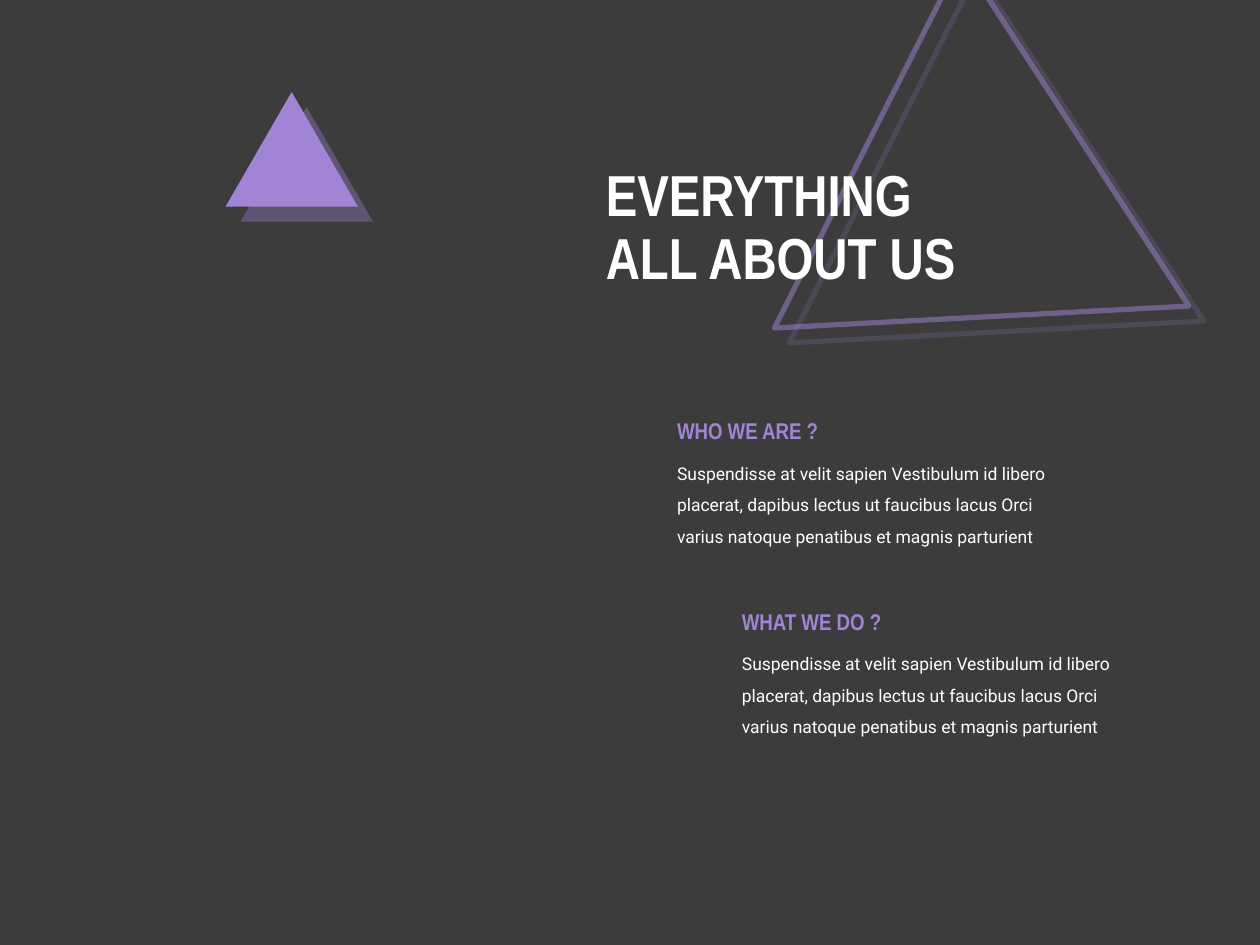
from dataclasses import dataclass

from lxml.etree import SubElement
from pptx import Presentation
from pptx.dml.color import RGBColor
from pptx.enum.shapes import MSO_SHAPE
from pptx.enum.text import MSO_ANCHOR, MSO_AUTO_SIZE
from pptx.oxml.ns import qn
from pptx.util import Inches, Pt

SLIDE_W, SLIDE_H = 10, 7.5
COLORS = {"background": "3C3C3C", "accent": "A284D7", "text": "FFFFFF"}
HEADING_FONT, BODY_FONT = "Arial Narrow", "Roboto"
BODY = ("Suspendisse at velit sapien Vestibulum id libero placerat, dapibus lectus "
        "ut faucibus lacus Orci varius natoque penatibus et magnis parturient")


@dataclass
class Box:
    """Position and size as shares of the slide."""
    left: float
    top: float
    width: float
    height: float

    def emu(self) -> tuple:
        return (Inches(self.left * SLIDE_W), Inches(self.top * SLIDE_H),
                Inches(self.width * SLIDE_W), Inches(self.height * SLIDE_H))


@dataclass
class Section:
    heading: str
    left: float
    top: float


SECTIONS = [Section("WHO WE ARE ?", 5.275, 3.26),
            Section("WHAT WE DO ?", 5.79, 4.77)]


def rgb(name: str) -> RGBColor:
    return RGBColor.from_string(COLORS[name])


def add_alpha(color, percent: int) -> None:
    SubElement(color, qn("a:alpha"), val=str(percent * 1000))


def add_shadow(sp) -> None:
    """Hard accent shadow, down and to the right."""
    sp.shadow.inherit = False
    effects = sp._element.spPr.find(qn("a:effectLst"))
    shadow = SubElement(effects, qn("a:outerShdw"), blurRad="0", dist=str(Pt(12.1)),
                        dir=str(45 * 60000), algn="ctr", rotWithShape="0")
    add_alpha(SubElement(shadow, qn("a:srgbClr"), val=COLORS["accent"]), 35)


def add_triangle(s, box: Box, rotation: float = 0, outlined: bool = False) -> None:
    sp = s.shapes.add_shape(MSO_SHAPE.ISOSCELES_TRIANGLE, *box.emu())
    sp.rotation = rotation
    if outlined:
        sp.fill.background()
        sp.line.width = Pt(3)
        sp.line.color.rgb = rgb("accent")
        add_alpha(sp.line._ln.find(".//" + qn("a:srgbClr")), 50)
    else:
        sp.fill.solid()
        sp.fill.fore_color.rgb = rgb("accent")
        sp.line.fill.background()
    add_shadow(sp)


def add_text(s, text: str, box: Box, *, size: float, font: str, color: str,
             bold: bool = False, spacing: float = 1.0, anchor=MSO_ANCHOR.TOP,
             autosize=MSO_AUTO_SIZE.SHAPE_TO_FIT_TEXT) -> None:
    tf = s.shapes.add_textbox(*box.emu()).text_frame
    tf.word_wrap = True
    tf.auto_size = autosize
    tf.vertical_anchor = anchor
    p = tf.paragraphs[0]
    p.line_spacing = spacing
    for i, line in enumerate(text.split("\n")):
        if i:
            p.add_line_break()
        r = p.add_run()
        r.text = line
        r.font.size = Pt(size)
        r.font.name = font
        r.font.bold = bold
        r.font.color.rgb = rgb(color)


def add_section(s, section: Section) -> None:
    left, top = section.left / SLIDE_W, section.top / SLIDE_H
    add_text(s, BODY, Box(left, top + 0.28 / SLIDE_H, 0.338, 0.113),
             size=10, font=BODY_FONT, color="text", spacing=1.5)
    add_text(s, section.heading, Box(left, top, 0.184, 0.043),
             size=13, font=HEADING_FONT, color="accent", bold=True)


def main() -> None:
    prs = Presentation()
    prs.slide_width, prs.slide_height = Inches(SLIDE_W), Inches(SLIDE_H)
    s = prs.slides.add_slide(prs.slide_layouts[6])
    s.background.fill.solid()
    s.background.fill.fore_color.rgb = rgb("background")

    # Large outlined triangle behind the title
    add_triangle(s, Box(5.69 / SLIDE_W, 0.4 / SLIDE_H, 0.33, 0.38),
                 rotation=236.9, outlined=True)

    # Title
    add_text(s, "EVERYTHING\nALL ABOUT US",
             Box(4.71 / SLIDE_W, 1.03 / SLIDE_H, 0.422, 1.58 / SLIDE_H),
             size=33, font=HEADING_FONT, color="text", bold=True, spacing=0.9,
             anchor=MSO_ANCHOR.MIDDLE, autosize=MSO_AUTO_SIZE.NONE)

    # Small solid triangle
    add_triangle(s, Box(1.79 / SLIDE_W, 0.73 / SLIDE_H, 0.105, 0.91 / SLIDE_H))

    # Text sections
    for section in SECTIONS:
        add_section(s, section)

    prs.save("out.pptx")


if __name__ == "__main__":
    main()
